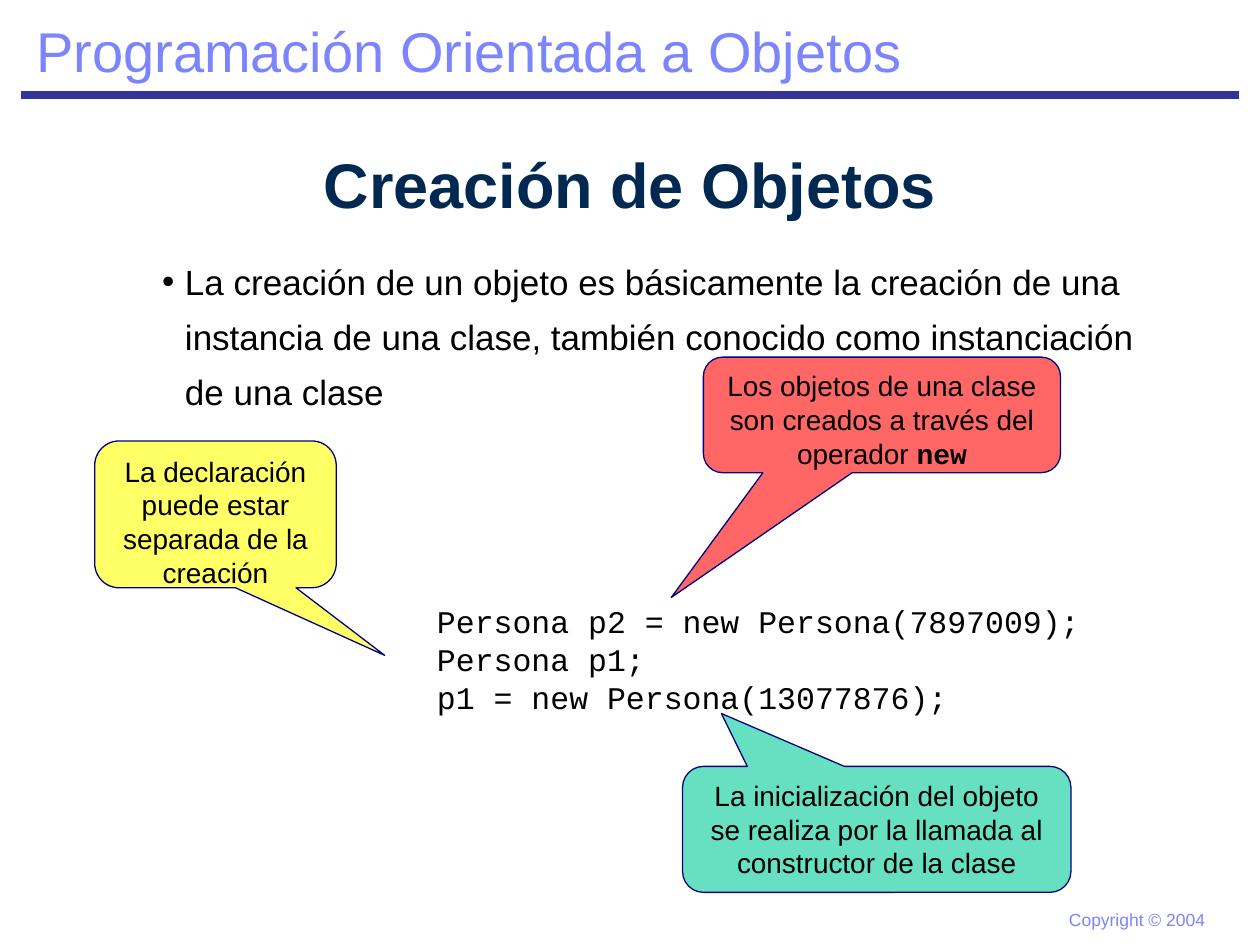
from lxml.etree import SubElement
from pptx import Presentation
from pptx.dml.color import RGBColor
from pptx.enum.shapes import MSO_CONNECTOR, MSO_SHAPE
from pptx.enum.text import MSO_ANCHOR, MSO_AUTO_SIZE, PP_ALIGN
from pptx.oxml.ns import qn
from pptx.util import Cm, Pt

LAVENDER = "7C85FC"
BLACK = "000000"


def rgb(value):
    return RGBColor.from_string(value)


def style_span(span, size, color=BLACK, name="Arial", bold=False):
    span.font.size = Pt(size)
    span.font.name = name
    span.font.bold = bold
    span.font.color.rgb = rgb(color)


def add_text(page, place, text, size, color=BLACK, name="Arial"):
    box = page.shapes.add_textbox(*(Cm(value) for value in place))
    frame = box.text_frame
    frame.word_wrap = True
    frame.text = text
    for paragraph in frame.paragraphs:
        for span in paragraph.runs:
            style_span(span, size, color, name)
    return frame


def add_header_rule(page):
    rule = page.shapes.add_connector(
        MSO_CONNECTOR.STRAIGHT, Cm(0.42), Cm(1.91), Cm(24.98), Cm(1.91))
    rule.line.color.rgb = rgb("333399")
    rule.line.width = Pt(4.5)
    SubElement(rule._element.spPr, qn("a:effectLst"))


def format_title(page, text):
    title = page.shapes.title
    title.left, title.top, title.width, title.height = Cm(0), Cm(2.75), Cm(25.4), Cm(1.91)
    frame = title.text_frame
    frame.text = text
    frame.auto_size = MSO_AUTO_SIZE.NONE
    frame.vertical_anchor = MSO_ANCHOR.MIDDLE
    paragraph = frame.paragraphs[0]
    paragraph.alignment = PP_ALIGN.CENTER
    style_span(paragraph.runs[0], 36, "002952", bold=True)


def add_bullet(paragraph):
    properties = paragraph._p.get_or_add_pPr()
    properties.set("marL", str(Cm(0.94)))
    properties.set("indent", str(Cm(-0.46)))
    SubElement(properties, qn("a:buFont"), typeface="Arial")
    SubElement(properties, qn("a:buChar"), char="•")


def add_callout(page, place, pointer, color, text, keyword=""):
    """Add a translucent speech bubble; pointer is the tip's offset from the centre."""
    callout = page.shapes.add_shape(
        MSO_SHAPE.ROUNDED_RECTANGULAR_CALLOUT, *(Cm(value) for value in place))
    callout.shadow.inherit = False
    callout.adjustments[0], callout.adjustments[1] = pointer
    callout.fill.solid()
    callout.fill.fore_color.rgb = rgb(color)
    color_element = callout._element.spPr.find(qn("a:solidFill"))[0]
    SubElement(color_element, qn("a:alpha"), val="60000")
    callout.line.color.rgb = rgb("000080")
    callout.line.width = Pt(0.75)

    frame = callout.text_frame
    frame.word_wrap = True
    frame.vertical_anchor = MSO_ANCHOR.TOP
    paragraph = frame.paragraphs[0]
    paragraph.text = text
    paragraph.alignment = PP_ALIGN.CENTER
    style_span(paragraph.runs[0], 16)
    if keyword:
        span = paragraph.add_run()
        span.text = keyword
        style_span(span, 16, name="Courier New", bold=True)


def main():
    deck = Presentation()
    deck.slide_width, deck.slide_height = Cm(25.4), Cm(19.05)
    page = deck.slides.add_slide(deck.slide_layouts[5])

    add_header_rule(page)
    add_text(page, (21.3, 18.21, 3.5, 0.69), "Copyright © 2004", 10, LAVENDER)
    add_text(page, (0.48, 0.2, 18.6, 1.63), "Programación Orientada a Objetos", 32, LAVENDER)
    format_title(page, "Creación de Objetos")

    definition = add_text(
        page, (2.54, 4.88, 20.75, 3.7),
        "La creación de un objeto es básicamente la creación de una instancia de una clase, "
        "también conocido como instanciación de una clase", 20).paragraphs[0]
    definition.line_spacing = 1.3
    add_bullet(definition)

    code = add_text(
        page, (8.56, 12, 14.73, 2.6),
        "Persona p2 = new Persona(7897009);\nPersona p1;\np1 = new Persona(13077876);",
        18, name="Courier New")
    for paragraph in code.paragraphs:
        paragraph.line_spacing = Pt(21.7)

    add_callout(page, (14.18, 7.2, 7.2, 2.33), (-0.59, 1.58), "FF0000",
                "Los objetos de una clase son creados a través del operador ", "new")
    add_callout(page, (1.91, 8.89, 4.87, 2.96), (0.7, 0.96), "FFFF00",
                "La declaración puede estar separada de la creación")
    add_callout(page, (13.76, 15.45, 7.83, 2.54), (-0.4, -0.92), "00CC99",
                "La inicialización del objeto se realiza por la llamada al constructor de la clase")

    deck.save("out.pptx")


if __name__ == "__main__":
    main()
